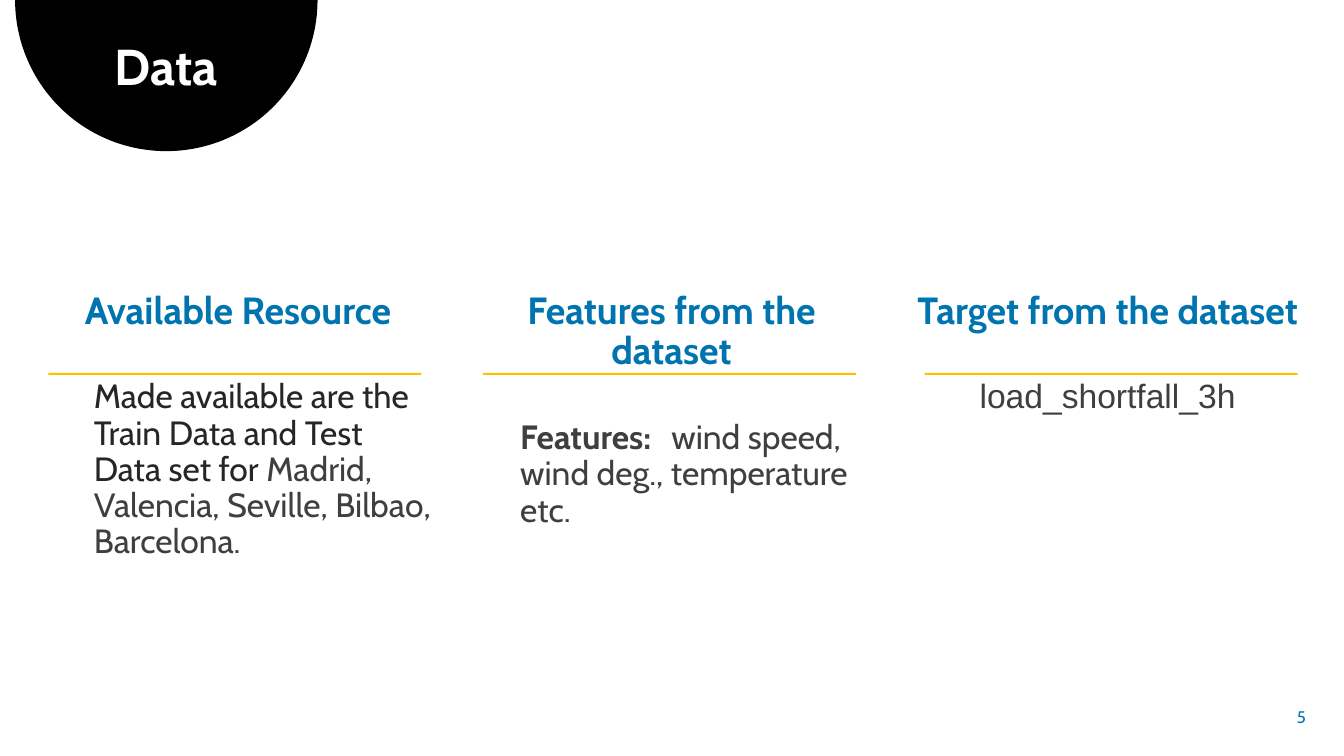
"""Build the Data slide: a dark title dome above three underlined columns."""
from math import cos, pi, sin

from lxml.etree import SubElement
from pptx import Presentation
from pptx.dml.color import RGBColor
from pptx.enum.shapes import MSO_SHAPE
from pptx.enum.text import MSO_ANCHOR, MSO_AUTO_SIZE, PP_ALIGN
from pptx.oxml.ns import qn
from pptx.util import Inches, Pt

TITLE = "Data"
PAGE = "5"
COLUMNS = [
    {"box": (0.33, 2.84, 4.06, 3.61), "rule": 0.48, "heading": "Available Resource",
     "body": [("Made available are the Train Data and Test Data set for ", "dark"),
              ("Madrid, Valencia, Seville, Bilbao, Barcelona.", "body")]},
    {"box": (4.56, 2.84, 4.2, 2.49), "rule": 4.79, "heading": "Features from the dataset",
     "body": [("Features:", "label"),
              ("\twind speed, wind deg., temperature etc.", "body")], "tab": 3.15},
    {"box": (8.92, 2.84, 4.13, 1.35), "rule": 9.17, "heading": "Target from the dataset",
     "body": [("load_shortfall_3h", "code")], "centred": True},
]
THEME = {
    "title": {"name": "Cabin", "size": Pt(36), "bold": True, "color": "FFFFFF"},
    "heading": {"name": "Cabin", "size": Pt(27), "bold": True, "color": "0074AF"},
    "dark": {"name": "Cabin", "size": Pt(24), "bold": False, "color": "262626"},
    "body": {"name": "Cabin", "size": Pt(24), "bold": False, "color": "3F3F3F"},
    "label": {"name": "Cabin", "size": Pt(24), "bold": True, "color": "3F3F3F"},
    "code": {"name": "Arial", "size": Pt(24), "bold": False, "color": "3F3F3F"},
    "page": {"name": "Cabin", "size": Pt(12), "bold": False, "color": "0074AF"},
    "dome": "000000",
    "rule": "FFC000",
}
DOME = {"centre": 1.65, "radius": 1.5, "steps": 90}
RULE_TOP, RULE_WIDTH, RULE_HEIGHT = 3.7, 3.7, 0.02


def place(sp, box):
    for name, value in zip(("left", "top", "width", "height"), box):
        setattr(sp, name, Inches(value))


def paint(sp, color):
    sp.shadow.inherit = False
    sp.fill.solid()
    sp.fill.fore_color.rgb = RGBColor.from_string(color)
    sp.line.fill.background()


def frame(sp, anchor=MSO_ANCHOR.TOP):
    tf = sp.text_frame
    for name, value in {"word_wrap": True, "auto_size": MSO_AUTO_SIZE.NONE,
                        "vertical_anchor": anchor}.items():
        setattr(tf, name, value)
    return tf


def write(p, runs, align, before=0, indent=0, tab=None, spacing=0.9):
    pPr = p._p.get_or_add_pPr()
    pPr.set("marL", str(Inches(indent)))
    pPr.set("indent", "0")
    for name, value in {"alignment": align, "line_spacing": spacing,
                        "space_before": Pt(before)}.items():
        setattr(p, name, value)
    SubElement(pPr, qn("a:buNone"))
    if tab:
        tabs = SubElement(pPr, qn("a:tabLst"))
        SubElement(tabs, qn("a:tab"), pos=str(Inches(tab)), algn="l")
    for text, style in runs:
        r = p.add_run()
        r.text = text
        for name, value in THEME[style].items():
            if name == "color":
                r.font.color.rgb = RGBColor.from_string(value)
            else:
                setattr(r.font, name, value)


def add_dome(s):
    cx, radius, steps = DOME["centre"], DOME["radius"], DOME["steps"]
    points = [(Inches(cx + radius * cos(pi * i / steps)), Inches(radius * sin(pi * i / steps)))
              for i in range(steps + 1)]
    outline = s.shapes.build_freeform(*points[0])
    outline.add_line_segments(points[1:], close=True)
    paint(outline.convert_to_shape(), THEME["dome"])


def add_column(s, sp, column):
    place(sp, column["box"])
    tf = frame(sp)
    write(tf.paragraphs[0], [(column["heading"], "heading")], PP_ALIGN.CENTER)
    centred = column.get("centred", False)
    write(tf.add_paragraph(), column["body"], PP_ALIGN.CENTER if centred else PP_ALIGN.LEFT,
          before=34, indent=0 if centred else 0.5, tab=column.get("tab"))
    rule = s.shapes.add_shape(MSO_SHAPE.RECTANGLE, Inches(column["rule"]), Inches(RULE_TOP),
                              Inches(RULE_WIDTH), Inches(RULE_HEIGHT))
    paint(rule, THEME["rule"])


def main():
    prs = Presentation()
    prs.slide_width, prs.slide_height = Inches(13.33), Inches(7.5)
    s = prs.slides.add_slide(prs.slide_layouts[4])
    title, *bodies = list(s.placeholders)
    add_dome(s)
    s.shapes._spTree.append(title._element)
    place(title, (0.35, 0.37, 2.6, 0.65))
    write(frame(title).paragraphs[0], [(TITLE, "title")], PP_ALIGN.CENTER)
    for sp, column in zip(bodies, COLUMNS):
        add_column(s, sp, column)
    for sp in bodies[len(COLUMNS):]:
        sp._element.getparent().remove(sp._element)
    page = s.shapes.add_textbox(Inches(12.5), Inches(6.91), Inches(0.55), Inches(0.4))
    write(frame(page, MSO_ANCHOR.MIDDLE).paragraphs[0], [(PAGE, "page")], PP_ALIGN.RIGHT,
          spacing=1.0)
    prs.save("out.pptx")


if __name__ == "__main__":
    main()
